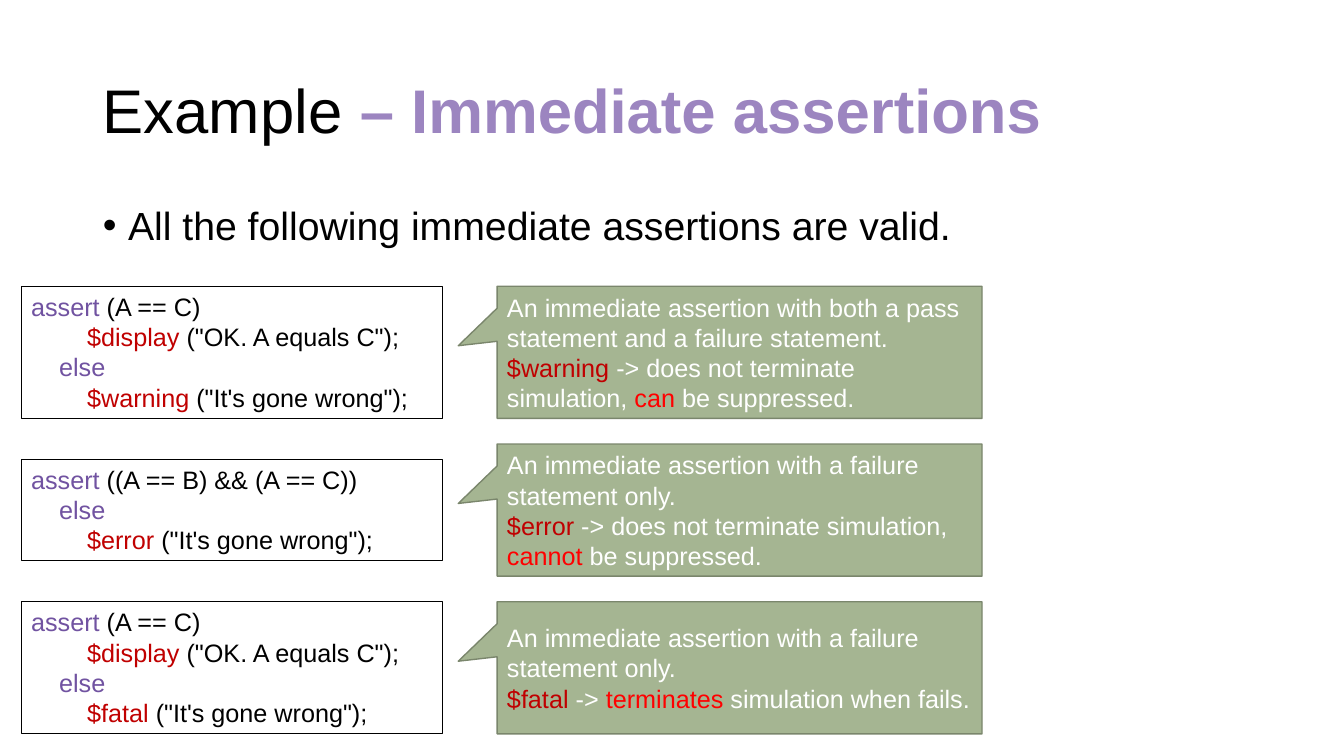
from lxml import etree
from pptx import Presentation
from pptx import util as u
from pptx.dml.color import RGBColor
from pptx.enum import shapes, text
from pptx.oxml import ns

COLOURS = {
    "ink": "000000", "accent": "9C85C0", "keyword": "7153A1", "task": "C00000",
    "alert": "FF0000", "light": "FFFFFF", "callout": "A5B592", "edge": "7A866C",
}
FONT = "Arial"
SLIDE_WIDTH, SLIDE_HEIGHT = 13.33, 7.5
MARGIN, CONTENT_WIDTH = 0.92, 11.5
CODE_LEFT, CODE_WIDTH = 0.21, 4.18
CALLOUT_LEFT, CALLOUT_WIDTH = 4.93, 4.81
FIRST_ROW, ROW_PITCH, ROW_HEIGHT = 2.84, 1.565, 1.31
CODE_LINE, CODE_PADDING = 0.3, 0.11

ELSE_LINE = [("    ", "ink"), ("else", "keyword")]
FAILURE_ONLY = "An immediate assertion with a failure statement only."
EXAMPLES = [
    {"condition": "(A == C)", "passes": True, "task": "$warning",
     "summary": "An immediate assertion with both a pass statement and a failure statement.",
     "effect": ("does not terminate simulation, ", "can", " be suppressed.")},
    {"condition": "((A == B) && (A == C))", "passes": False, "task": "$error",
     "summary": FAILURE_ONLY,
     "effect": ("does not terminate simulation, ", "cannot", " be suppressed.")},
    {"condition": "(A == C)", "passes": True, "task": "$fatal",
     "summary": FAILURE_ONLY,
     "effect": ("", "terminates", " simulation when fails.")},
]


def rgb(name):
    return RGBColor.from_string(COLOURS[name])


def box(left, top, width, height):
    return [u.Inches(length) for length in (left, top, width, height)]


def add_run(paragraph, words, colour, size, bold=False):
    run = paragraph.add_run()
    run.text = words
    run.font.name = FONT
    run.font.size = u.Pt(size)
    run.font.bold = bold
    run.font.color.rgb = rgb(colour)


def write_lines(frame, lines, size=18):
    for index, line in enumerate(lines):
        paragraph = frame.add_paragraph() if index else frame.paragraphs[0]
        paragraph.alignment = text.PP_ALIGN.LEFT
        for words, colour in line:
            if words:
                add_run(paragraph, words, colour, size)


def fill_placeholder(placeholder, top, height, anchor):
    placeholder.left, placeholder.top, placeholder.width, placeholder.height = box(
        MARGIN, top, CONTENT_WIDTH, height)
    frame = placeholder.text_frame
    frame.auto_size = text.MSO_AUTO_SIZE.NONE
    frame.vertical_anchor = anchor
    paragraph = frame.paragraphs[0]
    paragraph.alignment = text.PP_ALIGN.LEFT
    paragraph.line_spacing = 0.9
    paragraph.space_before = u.Pt(0)
    return paragraph


def add_title(slide):
    heading = fill_placeholder(slide.shapes.title, 0.4, 1.45, text.MSO_ANCHOR.MIDDLE)
    add_run(heading, "Example", "ink", 44)
    add_run(heading, " – Immediate assertions", "accent", 44, bold=True)


def add_claim(slide):
    claim = fill_placeholder(slide.placeholders[1], 2, 0.69, text.MSO_ANCHOR.TOP)
    properties = claim._p.get_or_add_pPr()
    properties.set("marL", str(u.Inches(0.25)))
    properties.set("indent", str(-u.Inches(0.25)))
    etree.SubElement(properties, ns.qn("a:buFont"), typeface=FONT)
    etree.SubElement(properties, ns.qn("a:buChar"), char="•")
    add_run(claim, "All the following immediate assertions are valid.", "ink", 28)


def add_panel(slide, preset, place, edge, weight, lines, anchor):
    panel = slide.shapes.add_shape(preset, *box(*place))
    panel.shadow.inherit = False
    panel.line.color.rgb = rgb(edge)
    panel.line.width = u.Pt(weight)
    panel.text_frame.word_wrap = True
    panel.text_frame.vertical_anchor = anchor
    write_lines(panel.text_frame, lines)
    return panel


def task_line(task, arguments):
    return [("        ", "ink"), (f"{task} ", "task"), (f'("{arguments}");', "ink")]


def add_code(slide, example, top):
    lines = [[("assert", "keyword"), (f" {example['condition']}", "ink")]]
    if example["passes"]:
        lines.append(task_line("$display", "OK. A equals C"))
    lines += [ELSE_LINE, task_line(example["task"], "It's gone wrong")]
    height = len(lines) * CODE_LINE + CODE_PADDING
    place = CODE_LEFT, top + (ROW_HEIGHT - height) / 2, CODE_WIDTH, height
    code = add_panel(slide, shapes.MSO_SHAPE.RECTANGLE, place, "ink", 0.75,
                     lines, text.MSO_ANCHOR.TOP)
    code.fill.background()


def add_callout(slide, example, top):
    before, stressed, after = example["effect"]
    lines = [
        [(example["summary"], "light")],
        [(f"{example['task']} ", "task"), (f"-> {before}", "light"),
         (stressed, "alert"), (after, "light")],
    ]
    place = CALLOUT_LEFT, top, CALLOUT_WIDTH, ROW_HEIGHT
    callout = add_panel(slide, shapes.MSO_SHAPE.RECTANGULAR_CALLOUT, place, "edge", 1,
                        lines, text.MSO_ANCHOR.MIDDLE)
    callout.fill.solid()
    callout.fill.fore_color.rgb = rgb("callout")
    callout.adjustments[0] = -0.58
    callout.adjustments[1] = -0.05


def main():
    deck = Presentation()
    deck.slide_width = u.Inches(SLIDE_WIDTH)
    deck.slide_height = u.Inches(SLIDE_HEIGHT)
    slide = deck.slides.add_slide(deck.slide_layouts[1])
    add_title(slide)
    add_claim(slide)
    for row, example in enumerate(EXAMPLES):
        top = FIRST_ROW + row * ROW_PITCH
        add_code(slide, example, top)
        add_callout(slide, example, top)
    deck.save("out.pptx")


if __name__ == "__main__":
    main()
